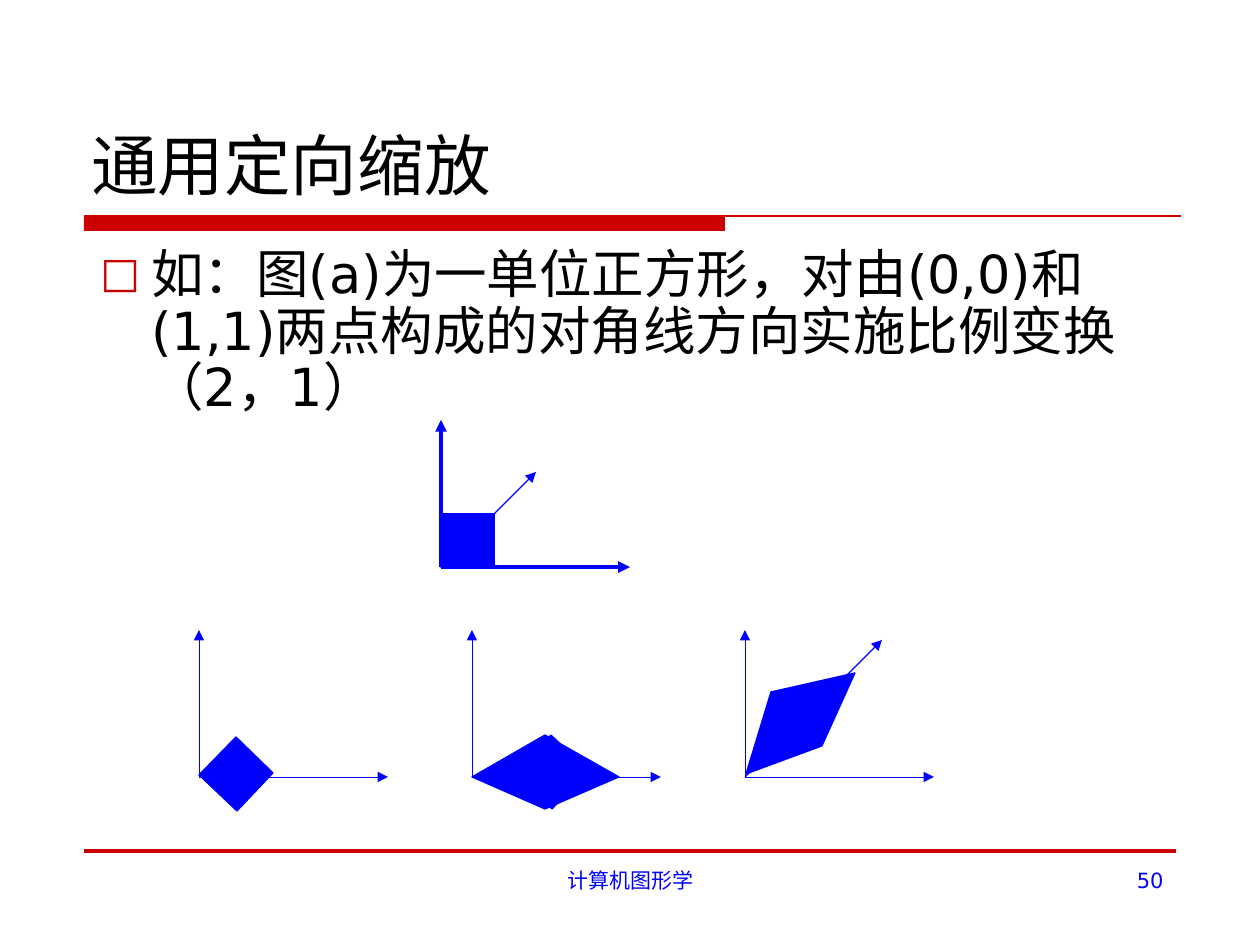
from dataclasses import dataclass

from lxml import etree
from pptx import Presentation
from pptx import util as u
from pptx.dml.color import RGBColor
from pptx.enum import shapes, text
from pptx.oxml.ns import qn

PX = 914400 / 126
RED, BLUE, BLACK = "CC0000", "0000FF", "000000"
FONT = "DejaVu Sans"
AXIS_X, AXIS_Y = 189, 147
Point = tuple[int, int]


@dataclass(frozen=True)
class Label:
    """A text box with one paragraph."""
    words: str
    left: int
    top: int
    width: int
    height: int
    size: int
    colour: str
    align: text.PP_ALIGN = text.PP_ALIGN.LEFT
    anchor: text.MSO_ANCHOR = text.MSO_ANCHOR.TOP
    bullet: str = ""


@dataclass(frozen=True)
class Diagram:
    """Axes with filled outlines, given as offsets from the origin."""
    origin: Point
    outlines: tuple[tuple[Point, ...], ...]
    axis_weight: float = 0.25
    direction: Point | None = None


def px(length: int) -> u.Emu:
    """Turn pixels into EMU."""
    return u.Emu(round(length * PX))


def rgb(colour: str) -> RGBColor:
    """Turn a hex string into a colour."""
    return RGBColor.from_string(colour)


def shifted(points: tuple[Point, ...], by: Point) -> tuple[Point, ...]:
    """Move every point by one offset."""
    return tuple((x + by[0], y + by[1]) for x, y in points)


def draw_line(page, start: Point, end: Point, colour: str, weight: float, arrow: bool = False) -> None:
    """Draw a straight line, with an arrowhead at its end on request."""
    line = page.shapes.add_connector(
        shapes.MSO_CONNECTOR.STRAIGHT, *map(px, start + end))
    line.line.color.rgb = rgb(colour)
    line.line.width = u.Pt(weight)
    if arrow:
        etree.SubElement(line.line._get_or_add_ln(), qn("a:tailEnd"), type="triangle")
    etree.SubElement(line._element.spPr, qn("a:effectLst"))


def paint(shape, colour: str) -> None:
    """Give a shape a flat fill with a thin line of the same colour."""
    shape.shadow.inherit = False
    shape.fill.solid()
    shape.fill.fore_color.rgb = rgb(colour)
    shape.line.color.rgb = rgb(colour)
    shape.line.width = u.Pt(0.75)


def draw_outline(page, points: tuple[Point, ...]) -> None:
    """Draw a closed blue polygon."""
    builder = page.shapes.build_freeform(*points[0], scale=PX)
    builder.add_line_segments(points[1:], close=True)
    paint(builder.convert_to_shape(), BLUE)


def draw_diagram(page, diagram: Diagram) -> None:
    """Draw the axes, the outlines and the scaling direction."""
    x, y = diagram.origin
    for tip in ((x + AXIS_X, y), (x, y - AXIS_Y)):
        draw_line(page, (x, y), tip, BLUE, diagram.axis_weight, arrow=True)
    for outline in diagram.outlines:
        draw_outline(page, shifted(outline, diagram.origin))
    if diagram.direction:
        tip = shifted((diagram.direction,), diagram.origin)[0]
        draw_line(page, (x, y), tip, BLUE, 0.75, arrow=True)


def add_bullet(para, mark: str) -> None:
    """Give a paragraph a hanging red bullet."""
    props = para._p.get_or_add_pPr()
    props.set("marL", str(px(61)))
    props.set("indent", str(-px(51)))
    colour = etree.SubElement(props, qn("a:buClr"))
    etree.SubElement(colour, qn("a:srgbClr"), val=RED)
    etree.SubElement(props, qn("a:buSzPct"), val="80000")
    etree.SubElement(props, qn("a:buFont"), typeface=FONT)
    etree.SubElement(props, qn("a:buChar"), char=mark)


def draw_label(page, label: Label) -> None:
    """Draw a text box."""
    box = page.shapes.add_textbox(
        *map(px, (label.left, label.top, label.width, label.height)))
    frame = box.text_frame
    frame.word_wrap = True
    frame.vertical_anchor = label.anchor
    para = frame.paragraphs[0]
    para.alignment = label.align
    if label.bullet:
        add_bullet(para, label.bullet)
        para.line_spacing = 0.9
    span = para.add_run()
    span.text = label.words
    span.font.name = FONT
    span.font.size = u.Pt(label.size)
    span.font.color.rgb = rgb(label.colour)


UNIT_SQUARE = ((0, 0), (0, -53), (53, -53), (53, 0))
TURNED_SQUARE = ((0, -2), (37, -40), (74, -4), (38, 34))
STRETCHED = ((0, 0), (73, -42), (147, 0), (73, 32))
TURNED_BACK = ((1, -3), (26, -85), (110, -104), (77, -31))

DIAGRAMS = (
    Diagram((441, 567), (UNIT_SQUARE,), 2.25, (95, -95)),
    Diagram((199, 777), (TURNED_SQUARE,)),
    Diagram((472, 777), (shifted(TURNED_SQUARE, (42, -2)), STRETCHED)),
    Diagram((745, 777), (TURNED_BACK,), direction=(137, -137)),
)

LABELS = (
    Label("计算机图形学", 431, 861, 399, 66, 12, BLUE, text.PP_ALIGN.CENTER),
    Label("50", 903, 861, 273, 66, 12, BLUE, text.PP_ALIGN.RIGHT),
    Label("通用定向缩放", 79, 42, 1103, 168, 38, BLACK,
          anchor=text.MSO_ANCHOR.BOTTOM),
    Label("如：图(a)为一单位正方形，对由(0,0)和(1,1)两点构成的对角线方向实施比例变换（2，1）",
          78, 242, 1103, 199, 30, BLACK, bullet="□"),
)


def main() -> None:
    """Build the slide and save it."""
    deck = Presentation()
    deck.slide_width, deck.slide_height = px(1260), px(945)
    page = deck.slides.add_slide(deck.slide_layouts[6])
    title_bar = page.shapes.add_shape(
        shapes.MSO_SHAPE.RECTANGLE, *map(px, (84, 216, 641, 15)))
    paint(title_bar, RED)
    title_bar.line.fill.background()
    draw_line(page, (84, 216), (1181, 216), RED, 0.75)
    draw_line(page, (84, 851), (1176, 851), RED, 2.25)
    for label in LABELS:
        draw_label(page, label)
    for diagram in DIAGRAMS:
        draw_diagram(page, diagram)
    deck.save("out.pptx")


if __name__ == "__main__":
    main()
